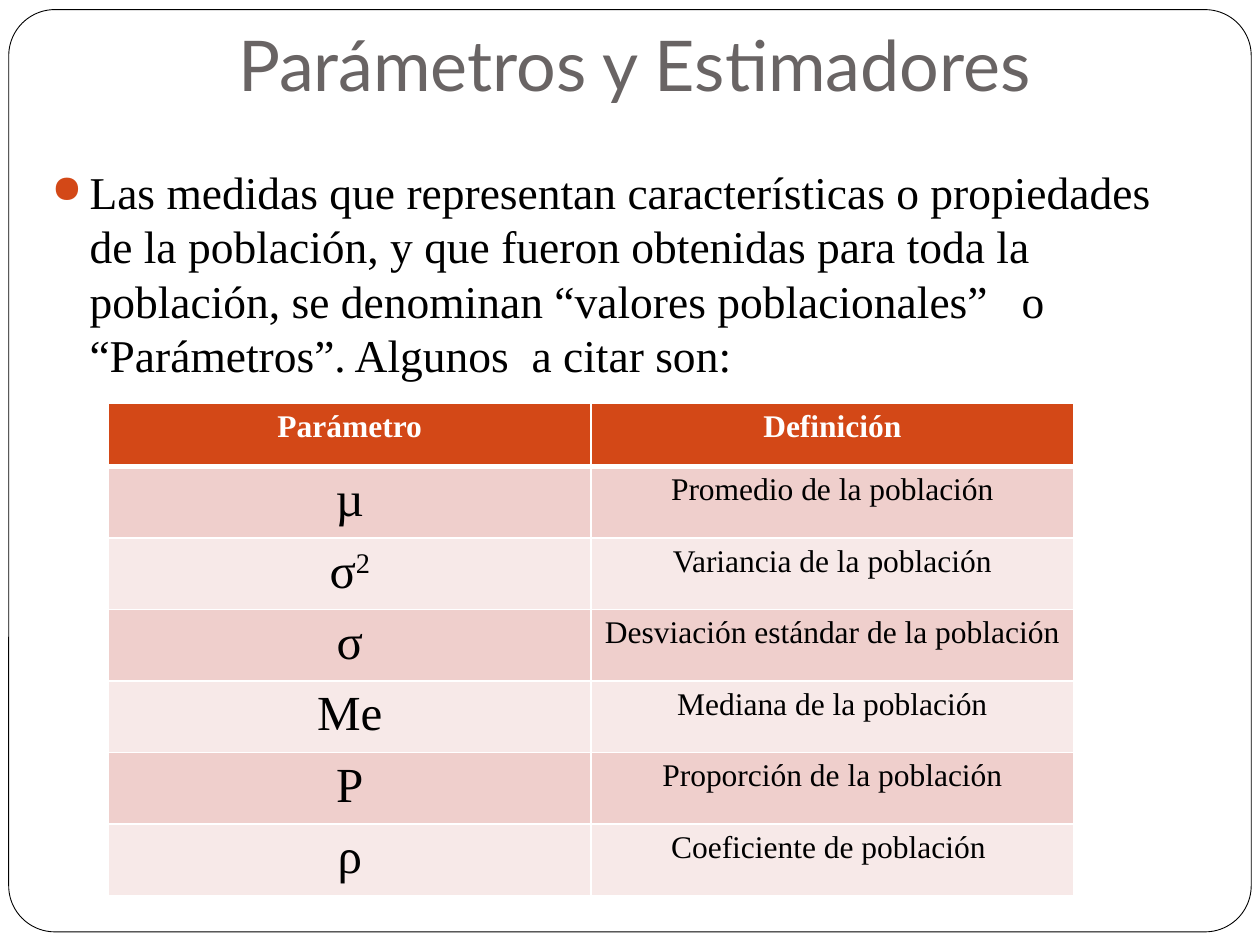
from typing import NamedTuple

from lxml.etree import SubElement
from pptx import Presentation
from pptx.dml.color import RGBColor
from pptx.enum.shapes import MSO_SHAPE as Shape
from pptx.enum.text import MSO_ANCHOR as Anchor, PP_ALIGN as Align
from pptx.oxml import parse_xml
from pptx.oxml.ns import nsdecls, qn
from pptx.util import Pt

WHITE = RGBColor(0xFF, 0xFF, 0xFF)
BLACK = RGBColor(0, 0, 0)
GRAY = RGBColor(0x69, 0x64, 0x64)
ORANGE = RGBColor(0xD3, 0x48, 0x17)
BANDS = (RGBColor(0xEF, 0xCF, 0xCC), RGBColor(0xF7, 0xE9, 0xE8))
SERIF = "Times New Roman"
ROW_HEIGHT = 36
COLUMN_WIDTH = 275.8


class Parameter(NamedTuple):
    symbol: str
    definition: str
    exponent: str = ""


PARAMETERS = [
    Parameter("µ", "Promedio de la población"),
    Parameter("σ", "Variancia de la población", "2"),
    Parameter("σ", "Desviación estándar de la población"),
    Parameter("Me", "Mediana de la población"),
    Parameter("P", "Proporción de la población"),
    Parameter("ρ", "Coeficiente de población "),
]


def write(paragraph, text: str, *, size: float, font: str = SERIF,
          color: RGBColor = BLACK, bold: bool = False,
          align: Align = Align.CENTER, superscript: bool = False) -> None:
    paragraph.alignment = align
    run = paragraph.add_run()
    run.text = text
    run.font.size, run.font.name, run.font.bold = Pt(size), font, bold
    run.font.color.rgb = color
    if superscript:
        run._r.get_or_add_rPr().set("baseline", "30000")


def add_bullet(paragraph, indent: float) -> None:
    properties = paragraph._p.get_or_add_pPr()
    properties.set("marL", str(Pt(indent)))
    properties.set("indent", str(-Pt(indent)))
    color = SubElement(properties, qn("a:buClr"))
    SubElement(color, qn("a:srgbClr"), val=str(ORANGE))
    SubElement(properties, qn("a:buSzPct"), val="85000")
    SubElement(properties, qn("a:buChar"), char="●")


def format_cell(cell, fill: RGBColor, bottom: float = 1, top: float = 1) -> None:
    cell.fill.solid()
    cell.fill.fore_color.rgb = fill
    properties = cell._tc.get_or_add_tcPr()
    borders = (("lnL", 1), ("lnR", 1), ("lnT", top), ("lnB", bottom))
    for position, (tag, width) in enumerate(borders):
        properties.insert(position, parse_xml(
            f'<a:{tag} {nsdecls("a")} w="{Pt(width)}"><a:solidFill>'
            f'<a:srgbClr val="{WHITE}"/></a:solidFill></a:{tag}>'))


def add_frame(slide) -> None:
    frame = slide.shapes.add_shape(
        Shape.ROUNDED_RECTANGLE, Pt(5), Pt(5.5), Pt(710), Pt(527))
    frame.adjustments[0] = 0.05
    frame.shadow.inherit = False
    frame.fill.solid()
    frame.fill.fore_color.rgb = WHITE
    frame.line.color.rgb = BLACK
    frame.line.width = Pt(0.5)
    slide.shapes._spTree.insert(2, frame._element)  # behind the title


def add_title(slide, text: str) -> None:
    title = slide.shapes.title
    title.left, title.top = Pt(22.5), Pt(0)
    title.width, title.height = Pt(680), Pt(67.5)
    text_frame = title.text_frame
    text_frame.vertical_anchor = Anchor.BOTTOM
    text_frame.margin_bottom = Pt(7.2)
    write(text_frame.paragraphs[0], text, size=40, font="Lato", color=GRAY)


def add_body(slide, text: str) -> None:
    box = slide.shapes.add_textbox(Pt(22.5), Pt(90), Pt(669.6), Pt(416))
    box.text_frame.word_wrap = True
    paragraph = box.text_frame.paragraphs[0]
    paragraph.space_before = Pt(5.8)
    write(paragraph, text, size=26, align=Align.LEFT)
    add_bullet(paragraph, 21.6)


def add_parameter_table(slide) -> None:
    row_count = len(PARAMETERS) + 1
    table = slide.shapes.add_table(
        row_count, 2, Pt(62), Pt(230.6),
        Pt(2 * COLUMN_WIDTH), Pt(row_count * ROW_HEIGHT)).table
    for row in table.rows:
        row.height = Pt(ROW_HEIGHT)

    # Header
    for column, heading in enumerate(("Parámetro", "Definición")):
        cell = table.cell(0, column)
        format_cell(cell, ORANGE, bottom=3)
        write(cell.text_frame.paragraphs[0], heading, size=18,
              color=WHITE, bold=True)

    # One banded row for each parameter
    for row, parameter in enumerate(PARAMETERS, start=1):
        symbol_cell, definition_cell = table.cell(row, 0), table.cell(row, 1)
        for cell in (symbol_cell, definition_cell):
            format_cell(cell, BANDS[(row - 1) % 2], top=3 if row == 1 else 1)
        symbol = symbol_cell.text_frame.paragraphs[0]
        write(symbol, parameter.symbol, size=28)
        if parameter.exponent:
            write(symbol, parameter.exponent, size=28, superscript=True)
        write(definition_cell.text_frame.paragraphs[0],
              parameter.definition, size=18)


def main() -> None:
    presentation = Presentation()
    presentation.slide_width, presentation.slide_height = Pt(720), Pt(540)
    slide = presentation.slides.add_slide(presentation.slide_layouts[5])
    add_frame(slide)
    add_title(slide, "Parámetros y Estimadores")
    add_body(slide, "Las medidas que representan características o propiedades "
             "de la población, y que fueron obtenidas para toda la población, "
             "se denominan “valores poblacionales”   o “Parámetros”. "
             "Algunos  a citar son:")
    add_parameter_table(slide)
    presentation.save("out.pptx")


if __name__ == "__main__":
    main()
